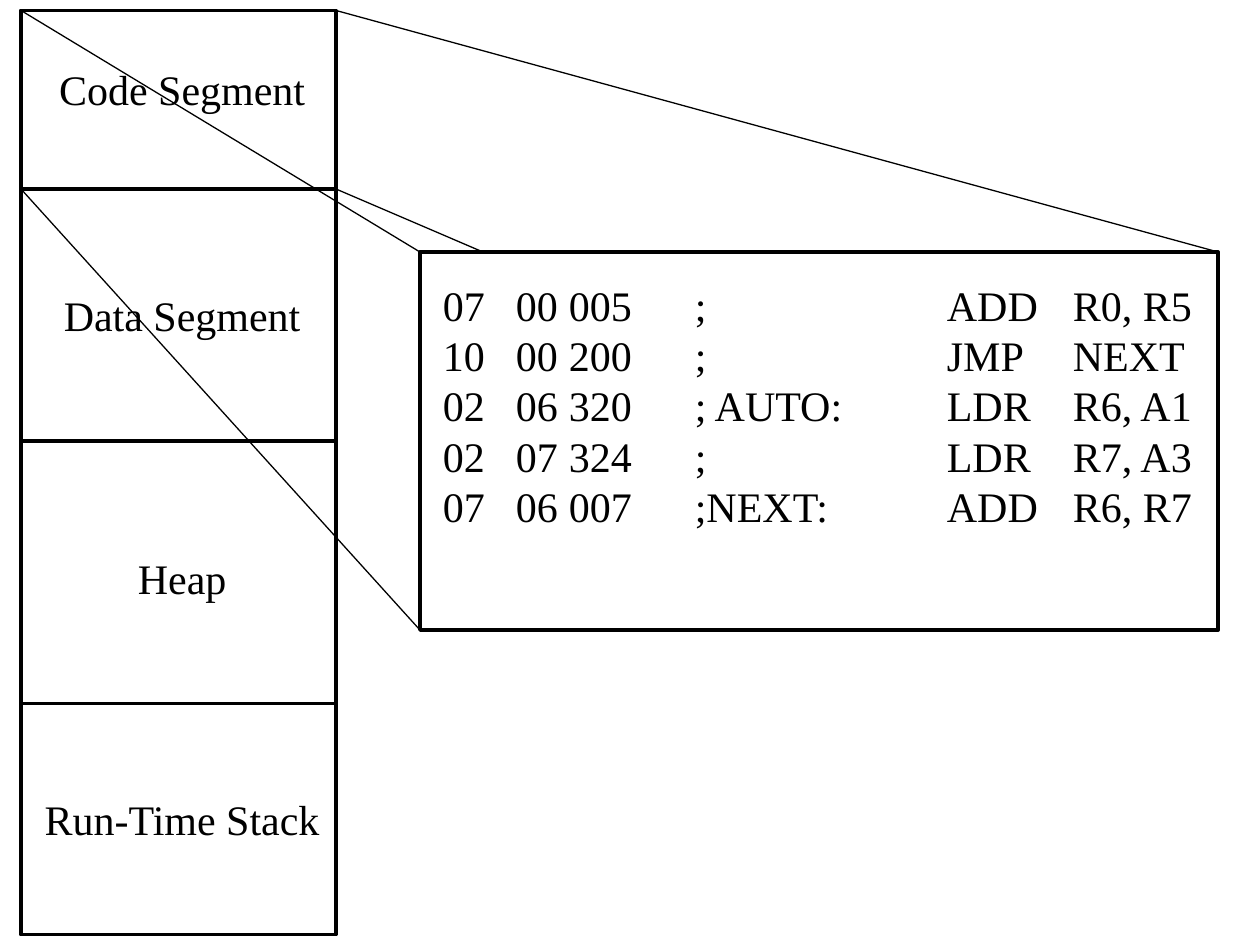
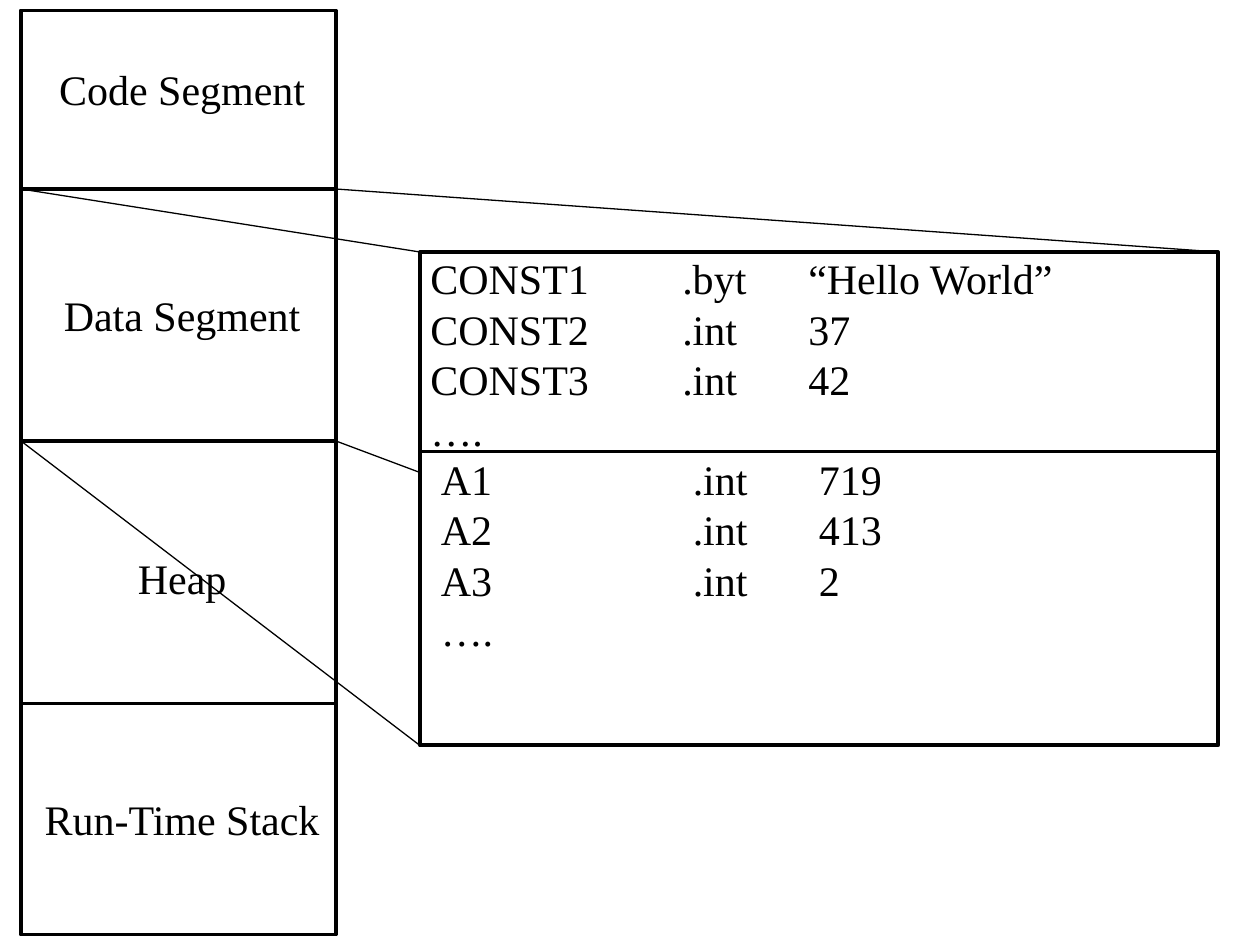
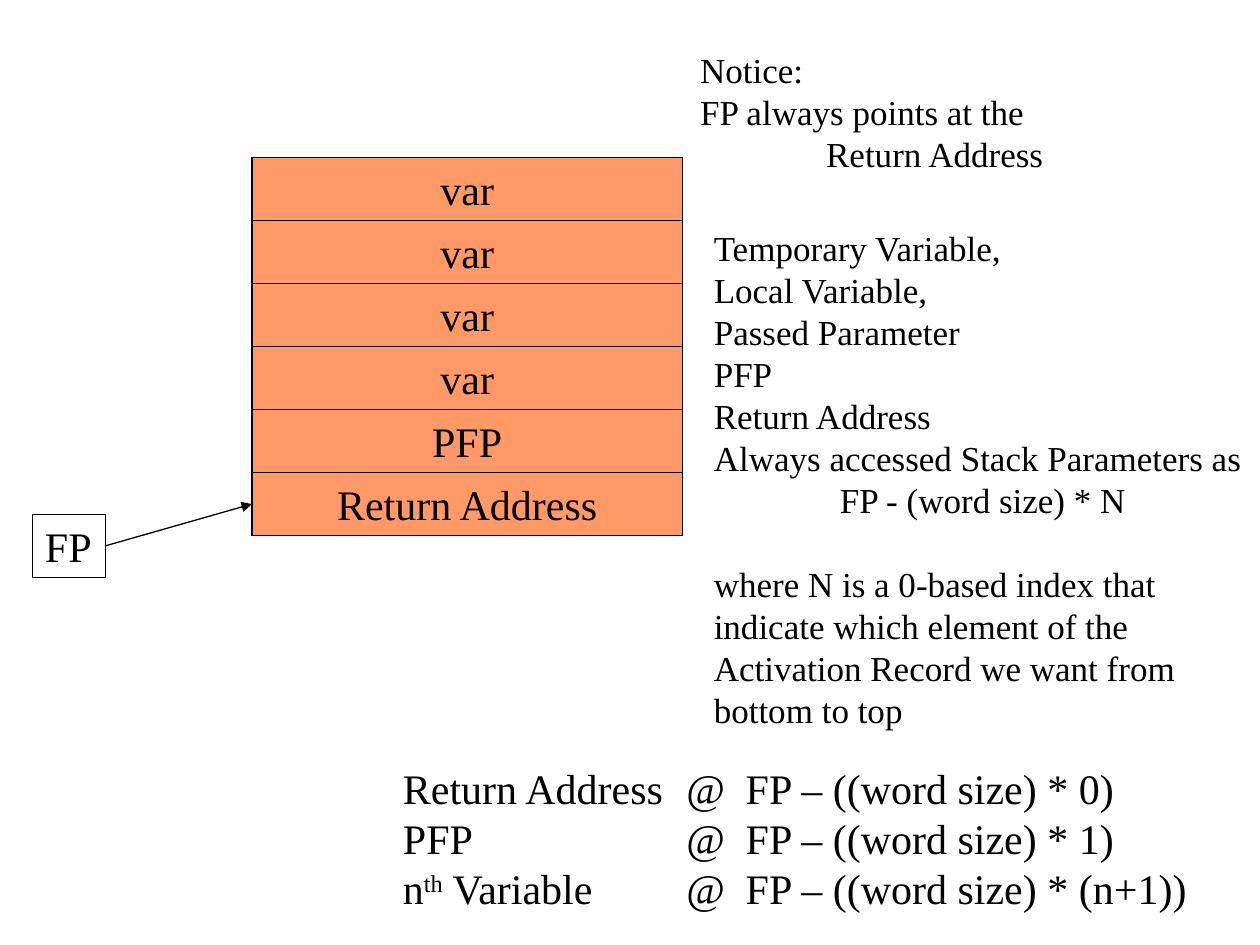
"""Build three slides on memory segments and the activation record."""
from dataclasses import dataclass

from lxml import etree
from pptx import Presentation
from pptx.dml.color import RGBColor
from pptx.enum.shapes import MSO_CONNECTOR, MSO_SHAPE
from pptx.enum.text import MSO_ANCHOR, MSO_AUTO_SIZE, PP_ALIGN
from pptx.oxml.ns import qn
from pptx.util import Emu, Inches, Pt

LEFT, CENTER = PP_ALIGN.LEFT, PP_ALIGN.CENTER
TOP, MIDDLE = MSO_ANCHOR.TOP, MSO_ANCHOR.MIDDLE
GROW, FIXED = MSO_AUTO_SIZE.SHAPE_TO_FIT_TEXT, MSO_AUTO_SIZE.NONE
RECTANGLE, STRAIGHT = MSO_SHAPE.RECTANGLE, MSO_CONNECTOR.STRAIGHT

COLORS = {"ink": "000000", "record": "FF9966"}
FONT = "Times New Roman"
WIDTH, HEIGHT = Inches(10), Inches(7.5)
COLUMNS, ROWS = 120, 90
THICK, THIN, HAIRLINE = 2.25, 0.75, 0.5
SUPERSCRIPT = "^"

COLUMN_LEFT, COLUMN_RIGHT = 2, 32
COLUMN_TOP, COLUMN_BOTTOM = 1, 89
DETAIL_LEFT, DETAIL_RIGHT, DETAIL_TOP = 40, 116, 24
LABEL_CENTER = 17.35
SEGMENT_BREAKS = (18, 42, 67)


@dataclass(frozen=True)
class Area:
    """A rectangle in grid columns and rows."""

    left: float
    top: float
    width: float
    height: float

    def frame(self) -> tuple:
        """Return left, top, width and height as slide lengths."""
        return (*point(self.left, self.top), *point(self.width, self.height))


@dataclass(frozen=True)
class Segment:
    """A named part of memory with the place of its label."""

    name: str
    top: float
    width: float


@dataclass(frozen=True)
class Ray:
    """A straight line between two grid points."""

    start: tuple
    end: tuple


SEGMENTS = (
    Segment("Code Segment", 5.5, 25.8),
    Segment("Data Segment", 27, 25),
    Segment("Run-Time Stack", 75, 28.7),
    Segment("Heap", 52, 10.8),
)
INSTRUCTIONS = (
    "07\t00\t005\t;\tADD\tR0, R5",
    "10\t00\t200\t;\tJMP\tNEXT",
    "02\t06\t320\t; AUTO:\tLDR\tR6, A1",
    "02\t07\t324\t;\tLDR\tR7, A3",
    "07\t06\t007\t;NEXT:\tADD\tR6, R7",
)
CONSTANTS = (
    "CONST1\t.byt\t“Hello World”",
    "CONST2\t.int\t37",
    "CONST3\t.int\t42",
    "….",
)
VARIABLES = ("A1\t.int\t719", "A2\t.int\t413", "A3\t.int\t2", "….")
RECORD = ("var", "var", "var", "var", "PFP", "Return Address")
NOTICE = ("Notice:", "FP always points at the", "\tReturn Address")
CONTENTS = (
    "Temporary Variable,",
    "Local Variable,",
    "Passed Parameter",
    "PFP",
    "Return Address",
    "Always accessed Stack Parameters as",
    "\tFP - (word size) * N",
    "where N is a 0-based index that indicate which element of the "
    "Activation Record we want from bottom to top",
)
ADDRESSES = (
    "Return Address\t@\tFP – ((word size) * 0)",
    "PFP\t@\tFP – ((word size) * 1)",
    "n^th^ Variable\t@\tFP – ((word size) * (n+1))",
)


def point(column: float, row: float) -> tuple:
    """Turn a grid position into slide lengths."""
    return Emu(round(WIDTH * column / COLUMNS)), Emu(round(HEIGHT * row / ROWS))


def color(name: str) -> RGBColor:
    """Look up a named colour."""
    return RGBColor.from_string(COLORS[name])


def write(box, lines: tuple, size: float = 24, align=LEFT, anchor=TOP,
          tabs: tuple = (1,), wrap: bool = False, autosize=GROW,
          gaps: dict | None = None) -> None:
    """Fill a box with lines of formatted text; gaps maps a line to points before it."""
    frame = box.text_frame
    frame.word_wrap, frame.auto_size = wrap, autosize
    frame.vertical_anchor = anchor
    for index, line in enumerate(lines):
        para = frame.paragraphs[0] if index == 0 else frame.add_paragraph()
        para.alignment = align
        if gaps and index in gaps:
            para.space_before = Pt(gaps[index])
        if "\t" in line:
            stops = etree.SubElement(para._p.get_or_add_pPr(), qn("a:tabLst"))
            for stop in tabs:
                etree.SubElement(stops, qn("a:tab"), pos=str(Inches(stop)), algn="l")
        for part, text in enumerate(line.split(SUPERSCRIPT)):
            span = para.add_run()
            span.text = text
            span.font.name, span.font.size = FONT, Pt(size)
            span.font.color.rgb = color("ink")
            if part % 2:
                span._r.get_or_add_rPr().set("baseline", "30000")


def add_text(page, area: Area, lines: tuple, **style) -> None:
    """Add a text box."""
    write(page.shapes.add_textbox(*area.frame()), lines, **style)


def add_box(page, area: Area, weight: float, fill: str | None = None):
    """Add an outlined rectangle, unfilled unless a fill is named."""
    box = page.shapes.add_shape(RECTANGLE, *area.frame())
    box.shadow.inherit = False
    box.line.color.rgb, box.line.width = color("ink"), Pt(weight)
    if fill:
        box.fill.solid()
        box.fill.fore_color.rgb = color(fill)
    else:
        box.fill.background()
    return box


def add_line(page, ray: Ray, weight: float = THIN, arrow: bool = False) -> None:
    """Add a straight line, with an arrowhead at its end if asked."""
    line = page.shapes.add_connector(STRAIGHT, *point(*ray.start), *point(*ray.end))
    line.line.color.rgb, line.line.width = color("ink"), Pt(weight)
    properties = line._element.spPr
    if arrow:
        etree.SubElement(properties.find(qn("a:ln")), qn("a:tailEnd"), type="triangle")
    etree.SubElement(properties, qn("a:effectLst"))


def add_page(deck):
    """Add an empty page."""
    return deck.slides.add_slide(deck.slide_layouts[6])


def add_memory_page(deck, detail_bottom: float, rays: tuple):
    """Add a page with the memory column and a detail box joined by rays."""
    page = add_page(deck)
    add_box(page, Area(COLUMN_LEFT, COLUMN_TOP, COLUMN_RIGHT - COLUMN_LEFT,
                       COLUMN_BOTTOM - COLUMN_TOP), THICK)
    for row in SEGMENT_BREAKS:
        add_line(page, Ray((COLUMN_LEFT, row), (COLUMN_RIGHT, row)), THICK)
    for segment in SEGMENTS:
        area = Area(LABEL_CENTER - segment.width / 2, segment.top, segment.width, 6)
        add_text(page, area, (segment.name,), align=CENTER)
    add_box(page, Area(DETAIL_LEFT, DETAIL_TOP, DETAIL_RIGHT - DETAIL_LEFT,
                       detail_bottom - DETAIL_TOP), THICK)
    for ray in rays:
        add_line(page, ray)
    return page


def detail_rays(top: float, bottom: float, detail_bottom: float, joint: tuple) -> tuple:
    """Return the rays from a segment's corners to the detail box."""
    return (
        Ray((COLUMN_RIGHT, top), (DETAIL_RIGHT, DETAIL_TOP)),
        Ray((COLUMN_LEFT, top), (DETAIL_LEFT, DETAIL_TOP)),
        Ray((COLUMN_LEFT, bottom), (DETAIL_LEFT, detail_bottom)),
        Ray((COLUMN_RIGHT, bottom), joint),
    )


def add_code_page(deck) -> None:
    """Show the instructions in the code segment."""
    bottom = 60
    rays = detail_rays(COLUMN_TOP, SEGMENT_BREAKS[0], bottom, (46, DETAIL_TOP))
    page = add_memory_page(deck, bottom, rays)
    add_text(page, Area(41, 26, 73.9, 25.2), INSTRUCTIONS, tabs=(0.58, 1, 2, 4, 5))


def add_data_page(deck) -> None:
    """Show the constants and variables in the data segment."""
    bottom, divider = 71, 43
    rays = detail_rays(*SEGMENT_BREAKS[:2], bottom, (DETAIL_LEFT, 45))
    page = add_memory_page(deck, bottom, rays)
    add_line(page, Ray((DETAIL_LEFT, divider), (DETAIL_RIGHT, divider)), THICK)
    add_text(page, Area(39.8, 23.5, 62, 20.4), CONSTANTS, tabs=(2, 3))
    add_text(page, Area(40.8, 42.6, 44.4, 20.4), VARIABLES, tabs=(2, 3))


def add_record_page(deck) -> None:
    """Show the activation record and how its elements are addressed."""
    page = add_page(deck)
    left, top, width, step = 24, 15, 41, 6
    add_box(page, Area(left, top, width, step * len(RECORD)), THIN, "record")
    for index, name in enumerate(RECORD):
        cell = add_box(page, Area(left, top + index * step, width, step), THIN)
        write(cell, (name,), align=CENTER, anchor=MIDDLE, autosize=FIXED)
    pointer = add_box(page, Area(3.1, 49, 6.9, step), HAIRLINE)
    write(pointer, ("FP",))
    add_line(page, Ray((10, 52), (left, 48)), arrow=True)
    add_text(page, Area(65.5, 4, 35.3, 13.2), NOTICE, size=20)
    add_text(page, Area(66.8, 21, 53.2, 53.3), CONTENTS, size=20, wrap=True,
             gaps={len(CONTENTS) - 1: 24})
    add_text(page, Area(37.2, 72, 77.8, 15.6), ADDRESSES, tabs=(2.25, 2.72))


def main() -> None:
    """Build and save the deck."""
    deck = Presentation()
    deck.slide_width, deck.slide_height = WIDTH, HEIGHT
    add_code_page(deck)
    add_data_page(deck)
    add_record_page(deck)
    deck.save("out.pptx")


if __name__ == "__main__":
    main()
